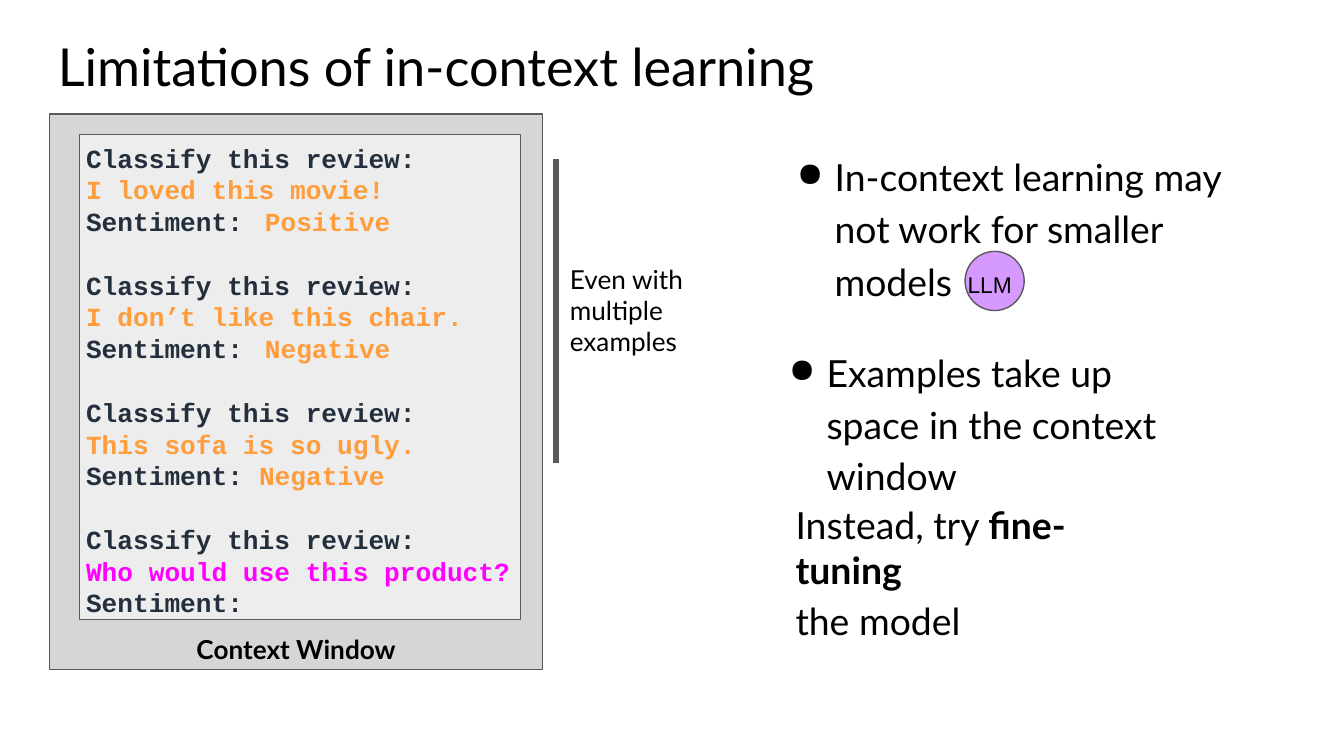
from pptx import Presentation
from pptx.dml.color import RGBColor as RGB
from pptx.enum.shapes import MSO_CONNECTOR as CONN, MSO_SHAPE as SHAPE
from pptx.enum.text import MSO_ANCHOR as ANCHOR, PP_ALIGN as ALIGN
from pptx.oxml.ns import qn
from pptx.util import Pt
from lxml.etree import SubElement as Sub

DARK, GOLD, PINK, GRAY = "232F3D", "FF9C3B", "FF00FF", "595959"


def hue(code):
    return RGB.from_string(code)


def add_run(para, text, size, face="Lato", color="000000", bold=False):
    run = para.add_run()
    run.text = text
    font = run.font
    font.size, font.name, font.bold = Pt(size), face, bold
    font.color.rgb = hue(color)
    return run


deck = Presentation()
deck.slide_width, deck.slide_height = Pt(720), Pt(405)
slide = deck.slides.add_slide(deck.slide_layouts[6])
shapes = slide.shapes

forms = []
for kind, x, y, w, h, fill in [
    (SHAPE.RECTANGLE, 26.6, 61.2, 264.2, 297.4, "D6D6D6"),
    (SHAPE.RECTANGLE, 42.5, 72, 236.2, 259.9, "EDEDED"),
    (SHAPE.OVAL, 517, 134.7, 31.7, 31.7, "D699FF"),
]:
    form = shapes.add_shape(kind, Pt(x), Pt(y), Pt(w), Pt(h))
    form.shadow.inherit = False
    form.fill.solid()
    form.fill.fore_color.rgb = hue(fill)
    form.line.color.rgb = hue(GRAY)
    form.line.width = Pt(0.75)
    forms.append(form)
window, prompt, model = forms

frame = window.text_frame
frame.margin_bottom = Pt(2.5)
frame.vertical_anchor = ANCHOR.BOTTOM
para = frame.paragraphs[0]
para.alignment = ALIGN.CENTER
add_run(para, "Context Window", 14, bold=True)

frame = prompt.text_frame
frame.word_wrap = True
frame.vertical_anchor = ANCHOR.TOP
frame.margin_left, frame.margin_right = Pt(3.6), Pt(0)
frame.margin_top, frame.margin_bottom = Pt(4.2), Pt(0)
reviews = [
    ("I loved this movie!", GOLD, "\t", "Positive"),
    ("I don’t like this chair.", GOLD, "\t", "Negative"),
    ("This sofa is so ugly.", GOLD, " ", "Negative"),
    ("Who would use this product?", PINK, "", ""),
]
for i, (review, color, gap, mood) in enumerate(reviews):
    lines = [
        [("Classify this review:", DARK)],
        [(review, color)],
        [("Sentiment:" + gap, DARK), (mood, GOLD)],
    ]
    for j, line in enumerate(lines):
        para = frame.paragraphs[0] if i == j == 0 else frame.add_paragraph()
        para.alignment = ALIGN.LEFT
        para.line_spacing = Pt(16.8)
        if i and j == 0:
            para.space_before = Pt(17.7)
        if "\t" in line[0][0]:
            tabs = Sub(para._p.get_or_add_pPr(), qn("a:tabLst"))
            Sub(tabs, qn("a:tab"), pos=str(Pt(95.8)), algn="l")
        for text, tint in line:
            if text:
                add_run(para, text, 14, "Courier New", tint, True)

bar = shapes.add_connector(CONN.STRAIGHT, Pt(298), Pt(85), Pt(298), Pt(248))
bar.line.color.rgb = hue(GRAY)
bar.line.width = Pt(3)
Sub(bar._element.spPr, qn("a:effectLst"))

boxes = []
for x, y, w, h, top in [
    (31, 17.3, 450, 35.3, 1.2),
    (305.3, 139.7, 64, 51, 1.2),
    (425.5, 77.8, 229, 81.4, 1.2),
    (422.6, 182.9, 216, 81.4, 1.2),
    (426.2, 260.6, 180, 82, 8.4),
]:
    box = shapes.add_textbox(Pt(x), Pt(y), Pt(w), Pt(h))
    frame = box.text_frame
    frame.word_wrap = True
    frame.margin_left = frame.margin_right = frame.margin_bottom = Pt(0)
    frame.margin_top = Pt(top)
    boxes.append(frame)
title, note, small, space, advice = boxes

add_run(title.paragraphs[0], "Limitations of in-context learning", 28)
add_run(note.paragraphs[0], "Even with multiple examples", 14)

for frame, text, left, stop in [
    (small, "In-context learning may not work for smaller models\t", 21.6, 92.9),
    (space, "Examples take up space in the context window", 20.2, None),
]:
    para = frame.paragraphs[0]
    para.line_spacing = 1.15
    props = para._p.get_or_add_pPr()
    props.set("marL", str(Pt(left)))
    props.set("indent", str(Pt(-20.2)))
    Sub(Sub(props, qn("a:buClr")), qn("a:srgbClr"), val="000000")
    Sub(props, qn("a:buSzPct"), val="90000")
    Sub(props, qn("a:buChar"), char="●")
    if stop:
        tabs = Sub(props, qn("a:tabLst"))
        for pos in (left, stop):
            Sub(tabs, qn("a:tab"), pos=str(Pt(pos)), algn="l")
    add_run(para, text, 20)

label = add_run(small.paragraphs[0], "LLM", 21, "Arial")
label.font._element.set("baseline", "7000")

para = advice.paragraphs[0]
add_run(para, "Instead, try ", 20)
add_run(para, "fine-tuning", 20, bold=True)
para = advice.add_paragraph()
para.space_before = Pt(3.6)
add_run(para, "the model", 20)

deck.save("out.pptx")
